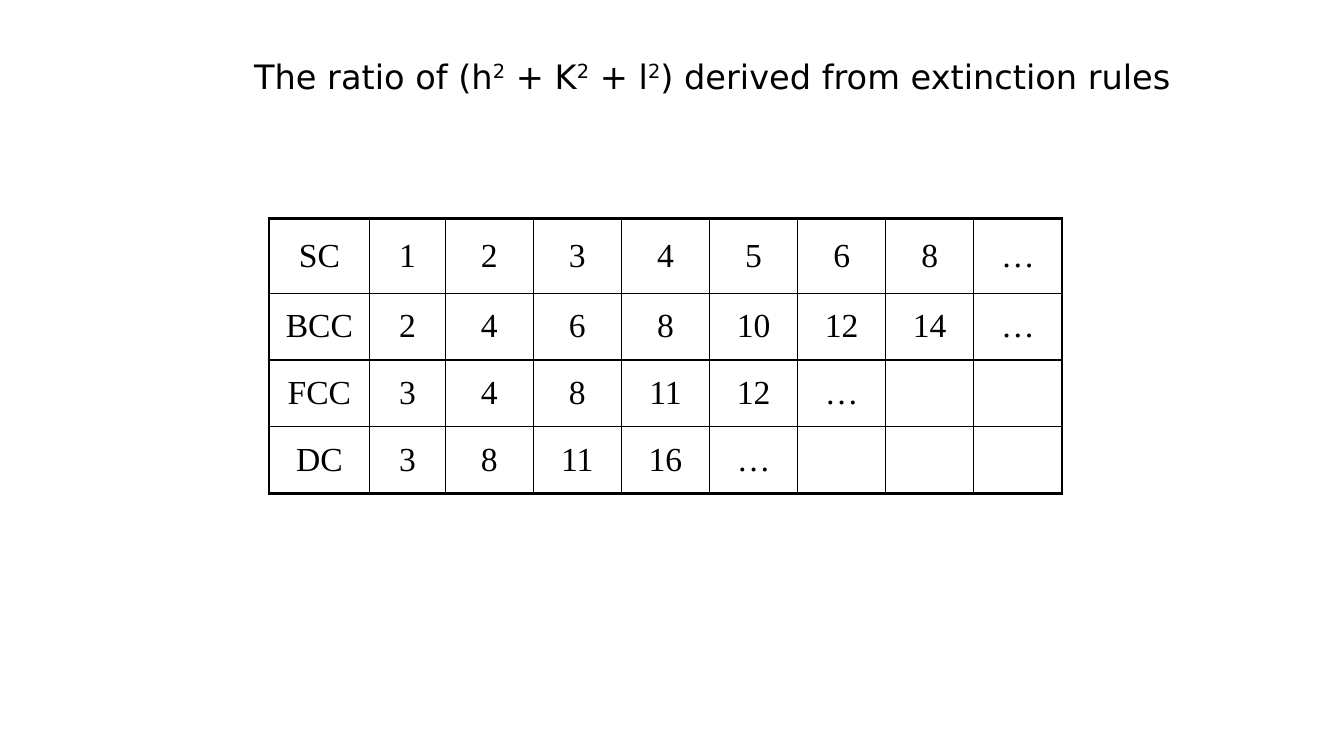
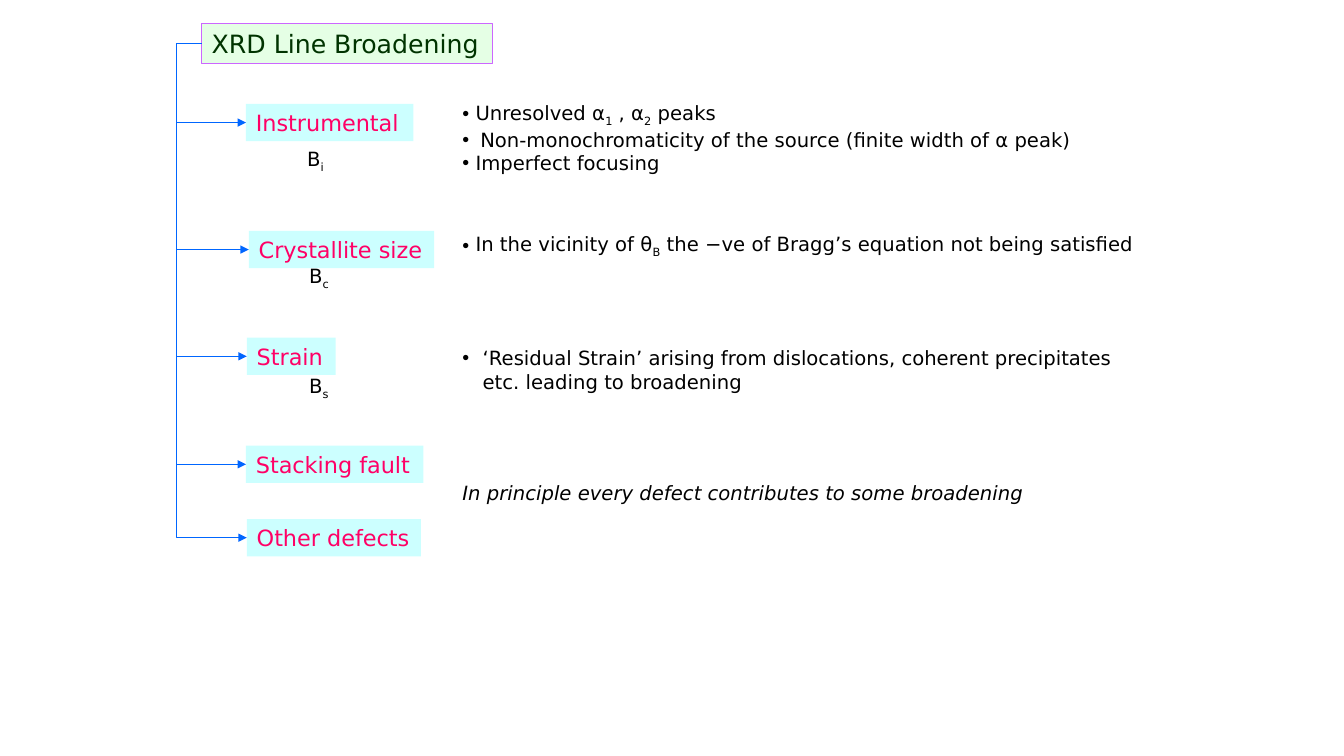
from dataclasses import dataclass

import pptx
import pptx.dml.color
import pptx.enum.shapes
import pptx.enum.text
import pptx.oxml
import pptx.oxml.ns
import pptx.util
from pptx.util import Cm, Pt

RGBColor = pptx.dml.color.RGBColor
Anchor = pptx.enum.text.MSO_ANCHOR
AutoSize = pptx.enum.text.MSO_AUTO_SIZE
qn = pptx.oxml.ns.qn

BLACK = RGBColor(0x00, 0x00, 0x00)
DARK_GREEN = RGBColor(0x00, 0x33, 0x00)
PALE_GREEN = RGBColor(0xE5, 0xFF, 0xE5)
VIOLET = RGBColor(0xCC, 0x66, 0xFF)
PALE_CYAN = RGBColor(0xCC, 0xFF, 0xFF)
PINK = RGBColor(0xFF, 0x00, 0x66)
BLUE = RGBColor(0x00, 0x66, 0xFF)

SANS = "DejaVu Sans"
SERIF = "Times New Roman"
SUPERSCRIPT = 30000
SUBSCRIPT = -25000
LEFT_SITE = 1


@dataclass(frozen=True)
class Frame:
    left: float
    top: float
    width: float
    height: float

    def lengths(self) -> tuple:
        return Cm(self.left), Cm(self.top), Cm(self.width), Cm(self.height)


@dataclass(frozen=True)
class Label:
    text: str
    frame: Frame


@dataclass(frozen=True)
class Line:
    text: str
    hanging: float = 0  # a hanging indent brings a bullet
    italic: bool = False


@dataclass(frozen=True)
class Note:
    frame: Frame
    lines: tuple[Line, ...]


# Content; text between bars is raised or lowered
RATIO_TITLE = Label("The ratio of (h|2| + K|2| + l|2|) derived from extinction rules",
                    Frame(6.15, 1.27, 24.36, 1.27))
RATIO_ROWS = (
    ("SC", "1", "2", "3", "4", "5", "6", "8", "…"),
    ("BCC", "2", "4", "6", "8", "10", "12", "14", "…"),
    ("FCC", "3", "4", "8", "11", "12", "…", "", ""),
    ("DC", "3", "8", "11", "16", "…", "", "", ""),
)
COLUMN_WIDTHS = (2.54, 1.9) + (2.22,) * 7
ROW_HEIGHTS = (1.88,) + (1.68,) * 3

BROADENING_TITLE = Label("XRD Line Broadening", Frame(5.08, 0.58, 7.32, 1.02))
TRUNK_LEFT = 4.44
CAUSES = (
    Label("Instrumental", Frame(6.2, 2.62, 4.22, 0.94)),
    Label("Crystallite size", Frame(6.27, 5.82, 4.67, 0.94)),
    Label("Strain", Frame(6.22, 8.51, 2.24, 0.94)),
    Label("Stacking fault", Frame(6.2, 11.23, 4.47, 0.94)),
    Label("Other defects", Frame(6.22, 13.08, 4.39, 0.94)),
)
SYMBOLS = (
    Label("B|i|", Frame(7.49, 3.58, 0.94, 0.86)),
    Label("B|c|", Frame(7.54, 6.53, 1.02, 0.86)),
    Label("B|s|", Frame(7.54, 9.3, 1.02, 0.86)),
)
NOTES = (
    Note(Frame(11.4, 2.41, 16.05, 2.06), (
        Line("Unresolved α|1| , α|2| peaks", 0.33),
        Line("Non-monochromaticity of the source (finite width of α peak)", 0.45),
        Line("Imperfect focusing", 0.33))),
    Note(Frame(11.4, 5.72, 17.63, 0.86), (
        Line("In the vicinity of θ|B| the −ve of Bragg’s equation not being satisfied", 0.33),)),
    Note(Frame(11.4, 8.59, 17.8, 1.45), (
        Line("‘Residual Strain’ arising from dislocations, coherent precipitates "
             "etc. leading to broadening", 0.51),)),
    Note(Frame(11.4, 11.99, 17.8, 0.86), (
        Line("In principle every defect contributes to some broadening", italic=True),)),
)


def add_child(parent, tag: str, **attributes: str):
    child = pptx.oxml.parse_xml(f"<{tag} {pptx.oxml.ns.nsdecls('a')}/>")
    for name, value in attributes.items():
        child.set(name, value)
    parent.append(child)
    return child


def write_para(para, text: str, size: float, color: RGBColor = BLACK,
               font: str = SANS, baseline: int = SUBSCRIPT) -> None:
    para.alignment = pptx.enum.text.PP_ALIGN.LEFT
    para.space_before = Pt(0)
    para.font.name = font
    para.font.size = Pt(size)
    para.font.color.rgb = color
    para.font.bold = False
    for position, part in enumerate(text.split("|")):
        if part:
            span = para.add_run()
            span.text = part
            if position % 2:
                span._r.get_or_add_rPr().set("baseline", str(baseline))


def place(shape, frame: Frame) -> None:
    shape.left, shape.top, shape.width, shape.height = frame.lengths()


def write_title(page, label: Label, size: float, color: RGBColor):
    title = page.shapes.title
    place(title, label.frame)
    title.text_frame.auto_size = AutoSize.NONE
    title.text_frame.word_wrap = False
    write_para(title.text_frame.paragraphs[0], label.text, size, color,
               baseline=SUPERSCRIPT)
    return title


def style_cell(cell, text: str, edges: dict[str, bool]) -> None:
    cell.vertical_anchor = Anchor.MIDDLE
    properties = cell._tc.get_or_add_tcPr()
    for tag, is_outer in edges.items():
        border = add_child(properties, tag, w=str(Pt(2.25 if is_outer else 1)))
        fill = add_child(border, "a:solidFill")
        add_child(fill, "a:srgbClr", val=str(BLACK))
    cell.fill.background()
    para = cell.text_frame.paragraphs[0]
    write_para(para, text, 24, font=SERIF)
    para.alignment = pptx.enum.text.PP_ALIGN.CENTER


def add_ratio_table(page) -> None:
    frame = Frame(6.78, 5.51, sum(COLUMN_WIDTHS), sum(ROW_HEIGHTS))
    table = page.shapes.add_table(len(ROW_HEIGHTS), len(COLUMN_WIDTHS),
                                  *frame.lengths()).table
    table.first_row = table.horz_banding = False
    for column, width in zip(table.columns, COLUMN_WIDTHS):
        column.width = Cm(width)
    for row, height in zip(table.rows, ROW_HEIGHTS):
        row.height = Cm(height)
    for r, values in enumerate(RATIO_ROWS):
        for c, value in enumerate(values):
            edges = {
                "a:lnL": c == 0,
                "a:lnR": c == len(COLUMN_WIDTHS) - 1,
                "a:lnT": r == 0,
                "a:lnB": r == len(ROW_HEIGHTS) - 1,
            }
            style_cell(table.cell(r, c), value, edges)


def add_cause(page, cause: Label):
    box = page.shapes.add_shape(pptx.enum.shapes.MSO_SHAPE.RECTANGLE,
                                *cause.frame.lengths())
    box.shadow.inherit = False
    box.fill.solid()
    box.fill.fore_color.rgb = PALE_CYAN
    box.line.fill.background()
    box.text_frame.word_wrap = False
    box.text_frame.auto_size = AutoSize.SHAPE_TO_FIT_TEXT
    box.text_frame.vertical_anchor = Anchor.MIDDLE
    write_para(box.text_frame.paragraphs[0], cause.text, 16, PINK)
    return box


def add_branch(page, source, target) -> None:
    branch = page.shapes.add_connector(pptx.enum.shapes.MSO_CONNECTOR.ELBOW, 0, 0, 0, 0)
    branch.begin_connect(source, LEFT_SITE)
    branch.end_connect(target, LEFT_SITE)
    branch.line.color.rgb = BLUE
    branch.line.width = Pt(0.75)
    properties = branch._element.spPr
    add_child(properties.find(qn("a:ln")), "a:tailEnd", type="triangle")
    add_child(properties, "a:effectLst")
    # Put the bend on the shared trunk
    bend = (Cm(TRUNK_LEFT) - source.left) / (target.left - source.left)
    adjustments = properties.find(qn("a:prstGeom")).find(qn("a:avLst"))
    add_child(adjustments, "a:gd", name="adj1", fmla=f"val {round(bend * 100000)}")


def add_symbol(page, symbol: Label) -> None:
    box = page.shapes.add_textbox(*symbol.frame.lengths())
    box.text_frame.word_wrap = False
    box.text_frame.auto_size = AutoSize.SHAPE_TO_FIT_TEXT
    write_para(box.text_frame.paragraphs[0], symbol.text, 14)


def write_note(body, note: Note) -> None:
    place(body, note.frame)
    frame = body.text_frame
    frame.auto_size = AutoSize.NONE
    frame.word_wrap = True
    frame.vertical_anchor = Anchor.TOP
    for number, line in enumerate(note.lines):
        para = frame.add_paragraph() if number else frame.paragraphs[0]
        properties = para._p.get_or_add_pPr()
        properties.set("marL", str(Cm(line.hanging)))
        properties.set("indent", str(-Cm(line.hanging)))
        if line.hanging:
            add_child(properties, "a:buChar", char="•")
        else:
            add_child(properties, "a:buNone")
        write_para(para, line.text, 14)
        para.font.italic = line.italic


def build_ratio_page(deck) -> None:
    page = deck.slides.add_slide(deck.slide_layouts.get_by_name("Title Only"))
    write_title(page, RATIO_TITLE, 24, BLACK)
    add_ratio_table(page)


def build_broadening_page(deck) -> None:
    # The comparison layout offers four body placeholders
    page = deck.slides.add_slide(deck.slide_layouts.get_by_name("Comparison"))
    title = write_title(page, BROADENING_TITLE, 18, DARK_GREEN)
    title.fill.solid()
    title.fill.fore_color.rgb = PALE_GREEN
    title.line.color.rgb = VIOLET
    title.line.width = Pt(0.5)

    bodies = [holder for holder in page.placeholders
              if holder.placeholder_format.idx > 0]
    for body, note in zip(bodies, NOTES):
        write_note(body, note)
    for cause in CAUSES:
        add_branch(page, title, add_cause(page, cause))
    for symbol in SYMBOLS:
        add_symbol(page, symbol)


def main() -> None:
    deck = pptx.Presentation()
    deck.slide_width = Cm(33.87)
    deck.slide_height = Cm(19.05)
    build_ratio_page(deck)
    build_broadening_page(deck)
    deck.save("out.pptx")


if __name__ == "__main__":
    main()
